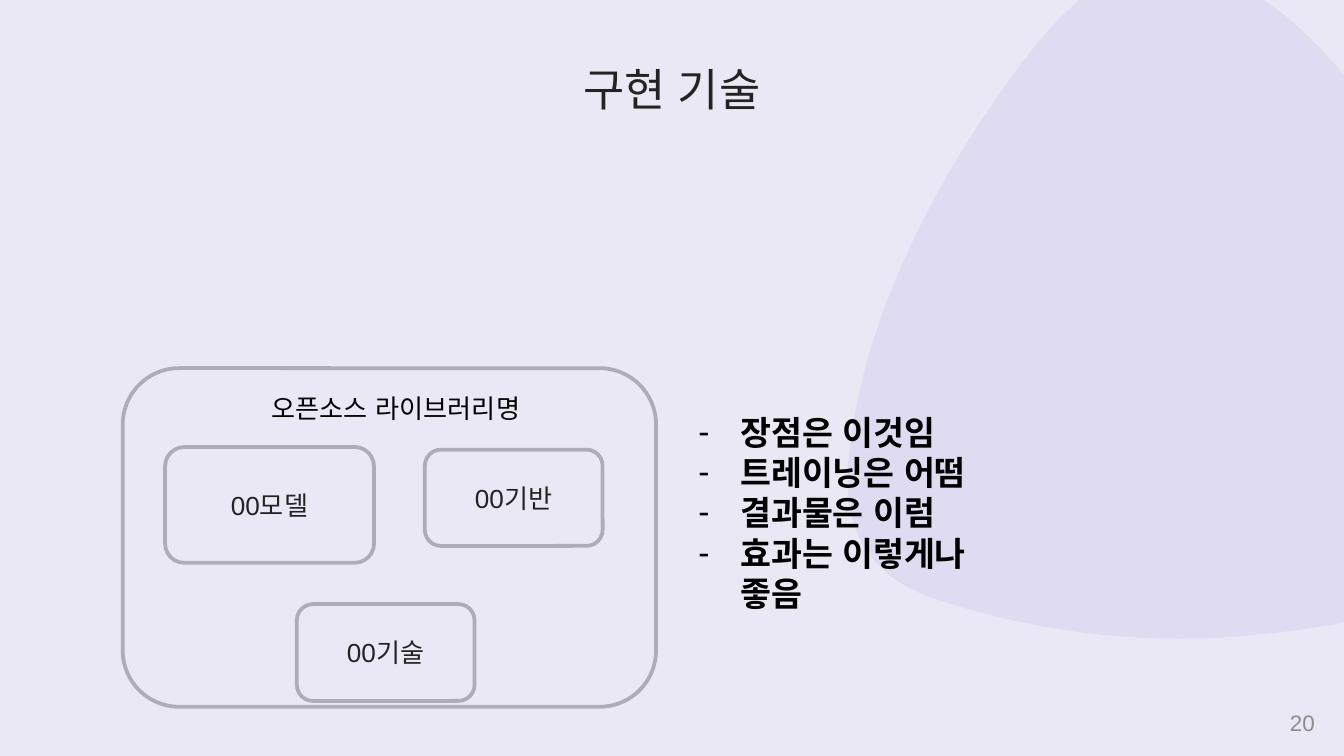
from dataclasses import dataclass

from lxml import etree
from pptx import Presentation
from pptx.dml.color import RGBColor
from pptx.enum import shapes, text
from pptx.oxml import ns
from pptx.util import Cm, Pt

BACKGROUND = RGBColor(0xEB, 0xE8, 0xF6)
BLOB_FILL = RGBColor(0xDF, 0xDB, 0xF1)
OUTLINE = RGBColor(0xAE, 0xAC, 0xB6)
INK = RGBColor(0x23, 0x23, 0x23)
BLACK = RGBColor(0, 0, 0)
GREY = RGBColor(0x8C, 0x8C, 0x8C)

EAST_ASIAN_FONT = "Arial"
ALIGN = text.PP_ALIGN
ANCHOR = text.MSO_ANCHOR

Point = tuple[float, float]


@dataclass(frozen=True)
class Box:
    """A place on the slide, in centimetres."""
    left: float
    top: float
    width: float
    height: float

    def lengths(self) -> tuple[Cm, Cm, Cm, Cm]:
        return Cm(self.left), Cm(self.top), Cm(self.width), Cm(self.height)


@dataclass(frozen=True)
class Style:
    size: int
    font: str
    color: RGBColor
    bold: bool = False


@dataclass(frozen=True)
class Panel:
    box: Box
    label: str = ""


TITLE = Style(24, "Lato", INK)
HEADING = Style(14, "Noto Sans CJK KR", BLACK)
LABEL = Style(14, "Arial", INK)
POINT = Style(18, "Noto Sans CJK KR", BLACK, bold=True)
PAGE_NUMBER = Style(12, "Arial", GREY)

BLOB_START: Point = (22.05, -0.61)
# Each curve: two control points, then the end point.
BLOB_CURVES: list[tuple[Point, Point, Point]] = [
    ((21.84, -0.61), (21.64, -0.58), (21.44, -0.53)),
    ((20.6, -0.33), (19.96, 0.36), (19.43, 1.04)),
    ((17.78, 3.18), (16.23, 6.07), (16.03, 8.81)),
    ((15.95, 9.91), (16.31, 10.87), (17.7, 11.33)),
    ((19.15, 11.81), (20.7, 12.07), (22.25, 12.07)),
    ((22.58, 12.07), (22.91, 12.07), (23.24, 12.04)),
    ((24.49, 11.94), (25.76, 11.79), (26.92, 11.33)),
    ((28.19, 10.85), (28.83, 10.06), (28.83, 8.64)),
    ((28.8, 6.2), (27.1, 3.66), (25.68, 1.78)),
    ((24.84, 0.66), (23.55, -0.61), BLOB_START),
]

PANELS = [
    Panel(Box(2.32, 6.96, 10.08, 6.4)),
    Panel(Box(3.12, 8.45, 3.95, 2.19), "00모델"),
    Panel(Box(5.61, 11.42, 3.36, 1.83), "00기술"),
    Panel(Box(8.03, 8.5, 3.36, 1.82), "00기반"),
]

POINTS = ["장점은 이것임", "트레이닝은 어떰", "결과물은 이럼", "효과는 이렇게나 좋음"]


def add_run(p, content: str, style: Style) -> None:
    r = p.add_run()
    r.text = content
    r.font.size = Pt(style.size)
    r.font.name = style.font
    r.font.bold = style.bold
    r.font.color.rgb = style.color
    ea = etree.SubElement(r._r.get_or_add_rPr(), ns.qn("a:ea"))
    ea.set("typeface", EAST_ASIAN_FONT)


def add_dash(p, indent: Cm) -> None:
    """Give the paragraph a hanging black dash."""
    pPr = p._p.get_or_add_pPr()
    pPr.set("marL", str(int(indent)))
    pPr.set("indent", str(-int(indent)))
    color = etree.SubElement(pPr, ns.qn("a:buClr"))
    etree.SubElement(color, ns.qn("a:srgbClr")).set("val", str(BLACK))
    etree.SubElement(pPr, ns.qn("a:buFont")).set("typeface", "Arial")
    etree.SubElement(pPr, ns.qn("a:buChar")).set("char", "-")


def add_text(s, box: Box, lines: list[str], style: Style, align=ALIGN.LEFT,
             anchor=ANCHOR.TOP, dashed: bool = False, inset: float = 0.13) -> None:
    tf = s.shapes.add_textbox(*box.lengths()).text_frame
    tf.word_wrap = True
    tf.vertical_anchor = anchor
    tf.margin_top = tf.margin_bottom = Cm(inset)
    for i, line in enumerate(lines):
        p = tf.paragraphs[0] if i == 0 else tf.add_paragraph()
        p.alignment = align
        if dashed:
            add_dash(p, Cm(0.79))
        add_run(p, line, style)


def add_panel(s, panel: Panel) -> None:
    sp = s.shapes.add_shape(shapes.MSO_SHAPE.ROUNDED_RECTANGLE, *panel.box.lengths())
    sp.shadow.inherit = False
    sp.fill.solid()
    sp.fill.fore_color.rgb = BACKGROUND
    sp.line.color.rgb = OUTLINE
    sp.line.width = Pt(2)
    if panel.label:
        tf = sp.text_frame
        tf.word_wrap = True
        tf.vertical_anchor = ANCHOR.MIDDLE
        tf.paragraphs[0].alignment = ALIGN.CENTER
        add_run(tf.paragraphs[0], panel.label, LABEL)


def curve_outline(sp) -> None:
    """Turn every three straight segments into one cubic curve."""
    lines = list(sp._element.iter(ns.qn("a:lnTo")))
    for i in range(0, len(lines), 3):
        curve = etree.Element(ns.qn("a:cubicBezTo"))
        lines[i].addprevious(curve)
        for line in lines[i:i + 3]:
            curve.append(line[0])
            line.getparent().remove(line)


def add_blob(s) -> None:
    points = [BLOB_START] + [point for curve in BLOB_CURVES for point in curve]
    units = [(round(x * 100), round(y * 100)) for x, y in points]
    builder = s.shapes.build_freeform(*units[0], scale=float(Cm(0.01)))
    builder.add_line_segments(units[1:], close=True)
    sp = builder.convert_to_shape()
    curve_outline(sp)
    sp.shadow.inherit = False
    sp.fill.solid()
    sp.fill.fore_color.rgb = BLOB_FILL
    sp.line.fill.background()


def main() -> None:
    prs = Presentation()
    prs.slide_width, prs.slide_height = Cm(25.4), Cm(14.29)
    s = prs.slides.add_slide(prs.slide_layouts[6])
    s.background.fill.solid()
    s.background.fill.fore_color.rgb = BACKGROUND

    add_blob(s)
    add_text(s, Box(0.86, 0.91, 23.67, 1.6), ["구현 기술"], TITLE, ALIGN.CENTER,
             inset=0.25)
    for panel in PANELS:
        add_panel(s, panel)
    add_text(s, Box(4.88, 7.29, 6.3, 0.86), ["오픈소스 라이브러리명"], HEADING)
    add_text(s, Box(12.95, 7.65, 6.3, 4.11), POINTS, POINT, dashed=True)
    add_text(s, Box(19.38, 13.28, 5.72, 0.76), ["20"], PAGE_NUMBER,
             ALIGN.RIGHT, ANCHOR.MIDDLE)
    prs.save("out.pptx")


if __name__ == "__main__":
    main()
